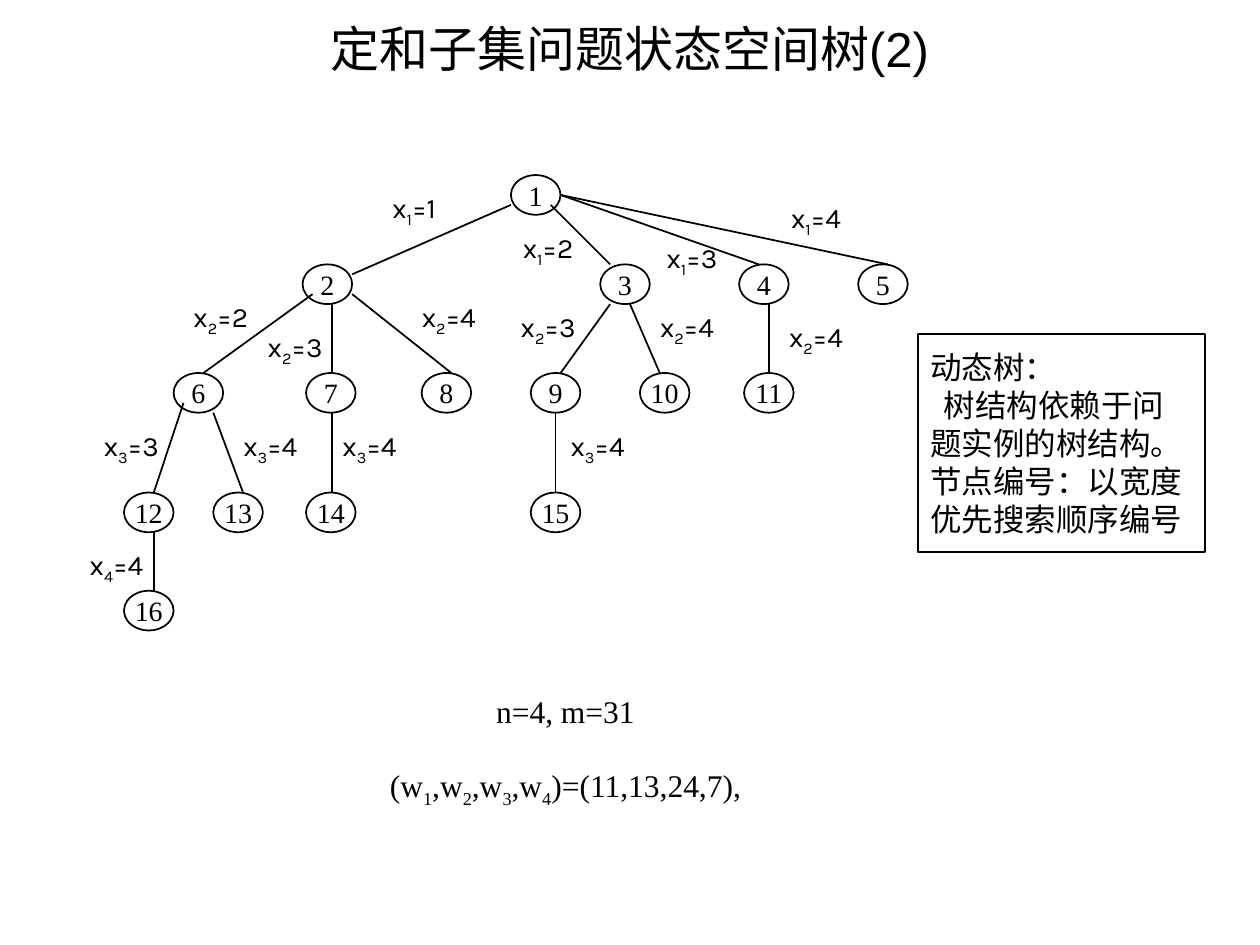
from lxml.etree import SubElement
from pptx import Presentation
from pptx.dml.color import RGBColor as RGB
from pptx.enum.shapes import MSO_CONNECTOR as LINK, MSO_SHAPE as SHAPE
from pptx.enum.text import MSO_ANCHOR as ANCHOR, PP_ALIGN as ALIGN
from pptx.oxml.ns import qn
from pptx.util import Cm, Pt

COLORS = {"ink": "000000", "paper": "FFFFFF"}
INK = RGB.from_string(COLORS["ink"])
SERIF, SANS = "Times New Roman", "Karla"


def set_frame(shape, side, top):
    frame = shape.text_frame
    frame.word_wrap = False
    frame.vertical_anchor = ANCHOR.MIDDLE
    frame.margin_left = frame.margin_right = Cm(side)
    frame.margin_top = frame.margin_bottom = Cm(top)
    return frame


def write(par, text, font, size, align=ALIGN.CENTER):
    """Fill a paragraph; a digit after "_" is set as a subscript."""
    par.alignment = align
    par.font.name, par.font.size = font, Pt(size)
    par.font.color.rgb = INK
    head, *rest = text.split("_")
    par.add_run().text = head
    for part in rest:
        sub = par.add_run()
        sub.text = part[0]
        sub._r.get_or_add_rPr().set("baseline", "-25000")
        par.add_run().text = part[1:]


deck = Presentation()
deck.slide_width, deck.slide_height = Cm(25.4), Cm(19.05)
slide = deck.slides.add_slide(deck.slide_layouts[5])

# Title
title = slide.shapes.title
title.left, title.top, title.width, title.height = Cm(1.27), Cm(0), Cm(22.86), Cm(1.93)
title.text_frame.vertical_anchor = ANCHOR.MIDDLE
write(title.text_frame.paragraphs[0], "定和子集问题状态空间树(2)", "Arial", 28)

# Tree nodes: number, left, level
WIDE, HIGH = 1, 0.8
ROWS = [3.53, 5.33, 7.52, 9.93, 11.91]
nodes = [
    (1, 10.3, 0),
    (2, 6.1, 1), (3, 12.1, 1), (4, 14.9, 1), (5, 17.3, 1),
    (6, 3.5, 2), (7, 6.17, 2), (8, 8.5, 2),
    (9, 10.7, 2), (10, 12.9, 2), (11, 15, 2),
    (12, 2.5, 3), (13, 4.3, 3), (14, 6.17, 3), (15, 10.7, 3),
    (16, 2.5, 4),
]
tree = slide.shapes.add_group_shape().shapes
for num, left, level in nodes:
    node = tree.add_shape(SHAPE.OVAL, Cm(left), Cm(ROWS[level]), Cm(WIDE), Cm(HIGH))
    node.shadow.inherit = False
    node.fill.background()
    node.line.color.rgb, node.line.width = INK, Pt(1)
    write(set_frame(node, 0, 0).paragraphs[0], str(num), SERIF, 16)

# Branches: child level, start x, start y above the parent's bottom,
# end x, end y below the child's top, then value and place of the label
edges = [
    (1, 10.3, 0.2, 7.1, 0.2, 1, 7.6, 3.9),
    (1, 11.1, 0.2, 12.3, 0, 2, 10.3, 4.7),
    (1, 11.3, 0.4, 15.3, 0, 3, 13.2, 4.9),
    (1, 11.3, 0.4, 17.9, 0, 4, 15.7, 4.1),
    (2, 6.3, 0.2, 4.1, 0, 2, 3.7, 6.1),
    (2, 6.7, 0, 6.7, 0, 3, 5.2, 6.7),
    (2, 7.1, 0.2, 9.1, 0, 4, 8.3, 6.1),
    (2, 12.3, 0, 11.3, 0, 3, 10.3, 6.3),
    (2, 12.7, 0, 13.3, 0, 4, 13.1, 6.3),
    (2, 15.5, 0, 15.5, 0, 4, 15.7, 6.5),
    (3, 3.7, 0.2, 3.1, 0, 3, 1.9, 8.7),
    (3, 4.3, 0, 4.9, 0, 4, 4.7, 8.7),
    (3, 6.7, 0, 6.7, 0, 4, 6.7, 8.7),
    (3, 11.2, 0, 11.2, 0, 4, 11.3, 8.7),
    (4, 3.1, 0, 3.1, 0, 4, 1.6, 11.1),
]
for level, x1, rise, x2, drop, value, left, top in edges:
    y1, y2 = ROWS[level - 1] + HIGH - rise, ROWS[level] + drop
    edge = tree.add_connector(LINK.STRAIGHT, Cm(x1), Cm(y1), Cm(x2), Cm(y2))
    edge.line.color.rgb, edge.line.width = INK, Pt(1)
    SubElement(edge._element.spPr, qn("a:effectLst"))
    label = tree.add_textbox(Cm(left), Cm(top), Cm(1.5), Cm(0.6))
    par = set_frame(label, 0.05, 0.03).paragraphs[0]
    par.line_spacing = 0.9
    write(par, f"x_{level}={value}", SANS, 16)

# Note on the dynamic tree
note = slide.shapes.add_shape(SHAPE.RECTANGLE, Cm(18.5), Cm(6.73), Cm(5.8), Cm(4.4))
note.shadow.inherit = False
note.fill.solid()
note.fill.fore_color.rgb = RGB.from_string(COLORS["paper"])
note.line.color.rgb, note.line.width = INK, Pt(1)
frame = set_frame(note, 0.25, 0.13)
lines = ["动态树：", "树结构依赖于问", "题实例的树结构。", "节点编号：以宽度", "优先搜索顺序编号"]
for i, line in enumerate(lines):
    par = frame.add_paragraph() if i else frame.paragraphs[0]
    write(par, line, SANS, 18, ALIGN.JUSTIFY)
frame.paragraphs[1]._p.get_or_add_pPr().set("indent", str(Cm(0.28)))

# Problem instance
case = slide.shapes.add_textbox(Cm(3.7), Cm(13.13), Cm(15.4), Cm(4))
frame = set_frame(case, 0.25, 0.13)
write(frame.paragraphs[0], "n=4, m=31", SERIF, 18)
par = frame.add_paragraph()
par.space_before = Pt(21)
write(par, "(w_1,w_2,w_3,w_4)=(11,13,24,7),", SERIF, 18)

deck.save("out.pptx")
